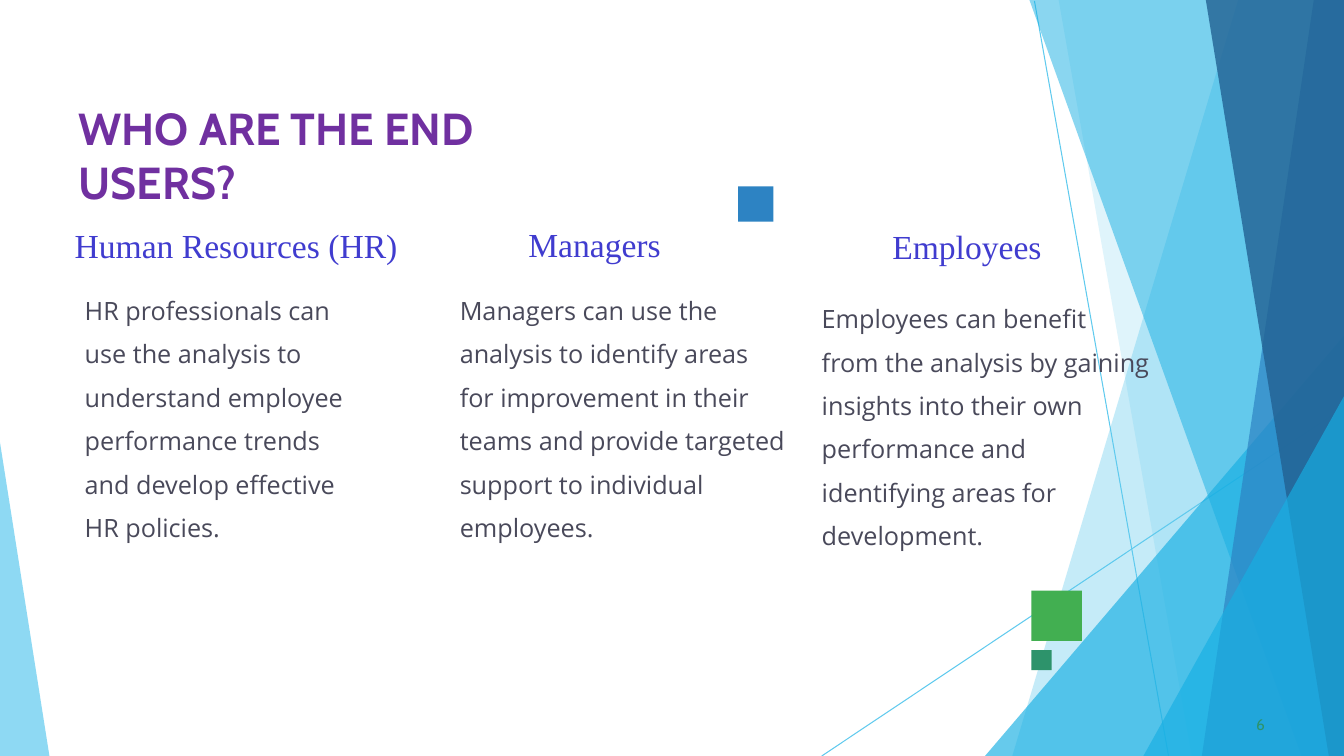
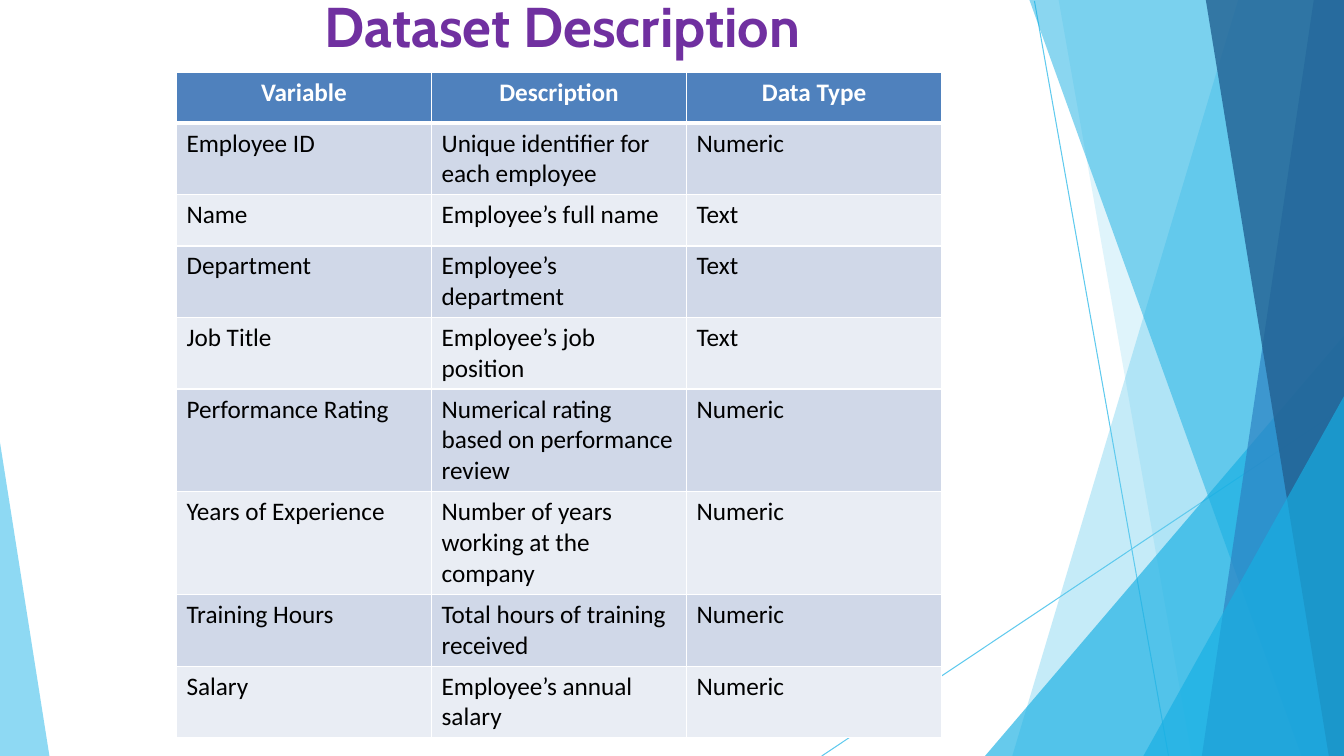
import pptx
import pptx.dml.color
import pptx.enum.shapes
import pptx.enum.text
import pptx.oxml
import pptx.oxml.ns
import pptx.util
from lxml import etree

Inches = pptx.util.Inches
Pt = pptx.util.Pt
RGBColor = pptx.dml.color.RGBColor
ALIGN = pptx.enum.text.PP_ALIGN
qn = pptx.oxml.ns.qn

# Slide size in inches
WIDTH, HEIGHT = 13.33, 7.5

# Colours
SKY = RGBColor(0x5F, 0xCA, 0xEE)
CYAN = RGBColor(0x17, 0xAF, 0xE3)
BLUE = RGBColor(0x2D, 0x83, 0xC3)
NAVY = RGBColor(0x22, 0x61, 0x92)
GREEN = RGBColor(0x42, 0xAF, 0x51)
TEAL = RGBColor(0x2D, 0x93, 0x6B)
PURPLE = RGBColor(0x70, 0x30, 0xA0)
INDIGO = RGBColor(0x40, 0x3C, 0xCF)
SLATE = RGBColor(0x49, 0x49, 0x5A)
WHITE = RGBColor(0xFF, 0xFF, 0xFF)
BLACK = RGBColor(0, 0, 0)
HEADER_FILL = RGBColor(0x4F, 0x81, 0xBD)
BAND_FILLS = (RGBColor(0xD0, 0xD8, 0xE8), RGBColor(0xE9, 0xED, 0xF4))

# Text styles
TITLE = dict(font="Cabin", color=PURPLE, bold=True)
HEADING = dict(font="Times New Roman", size=24, color=INDIGO, line_spacing=30)
BODY = dict(font="Open Sans", size=18, color=SLATE, line_spacing=31)
PAGE_NUMBER = dict(font="Cabin", size=11, color=TEAL)
HEADER_CELL = dict(font="Calibri", size=18, color=WHITE, bold=True, align=ALIGN.CENTER)
BODY_CELL = dict(font="Calibri", size=18, color=BLACK)

# Background: thin lines, then translucent facets (corners, colour, opacity in %)
LINES = [(10.26, 0.01, 11.59, HEIGHT), (WIDTH, 4.04, 8.15, HEIGHT)]
TOP_RIGHT, BOTTOM_RIGHT = (WIDTH, 0), (WIDTH, HEIGHT)
FACETS = [
    ([TOP_RIGHT, (12.28, 0), (10.04, HEIGHT), BOTTOM_RIGHT], SKY, 36),
    ([TOP_RIGHT, (10.5, 0), (11.82, HEIGHT), BOTTOM_RIGHT], SKY, 20),
    ([(WIDTH, 3.33), (9.77, HEIGHT), BOTTOM_RIGHT], CYAN, 66),
    ([TOP_RIGHT, (10.21, 0), (12.91, HEIGHT), BOTTOM_RIGHT], CYAN, 50),
    ([TOP_RIGHT, (13.03, 0), (11.92, HEIGHT), BOTTOM_RIGHT], BLUE, 70),
    ([TOP_RIGHT, (11.96, 0), (13.18, HEIGHT), BOTTOM_RIGHT], NAVY, 80),
    ([(WIDTH, 3.93), (11.34, HEIGHT), BOTTOM_RIGHT], CYAN, 66),
    ([(0, 4.39), (0, HEIGHT), (0.49, HEIGHT)], SKY, 70),
]

# End users: heading, its left and top, text, its left, top and width
END_USERS = [
    ("Human Resources (HR)", 0.74, 2.21,
     "HR professionals can use the analysis to understand employee performance "
     "trends and develop effective HR policies.", 0.84, 2.8, 2.71),
    ("Managers", 5.24, 2.2,
     "Managers can use the analysis to identify areas for improvement in their "
     "teams and provide targeted support to individual employees.", 4.56, 2.8, 3.25),
    ("Employees", 8.85, 2.22,
     "Employees can benefit from the analysis by gaining insights into their own "
     "performance and identifying areas for development.", 8.15, 2.88, 3.25),
]

# Accent squares: left, top, side, colour
SQUARES = [(10.23, 5.86, 0.5, GREEN), (7.32, 1.85, 0.35, BLUE), (10.23, 6.45, 0.2, TEAL)]

# Dataset table: row height, then the cells
DATASET = [
    (0.5, "Variable", "Description", "Data Type"),
    (0.71, "Employee ID", "Unique identifier for each employee", "Numeric"),
    (0.51, "Name", "Employee’s full name", "Text"),
    (0.71, "Department", "Employee’s department", "Text"),
    (0.71, "Job Title", "Employee’s job position", "Text"),
    (1.02, "Performance Rating", "Numerical rating based on performance review", "Numeric"),
    (1.02, "Years of Experience", "Number of years working at the company", "Numeric"),
    (0.71, "Training Hours", "Total hours of training received", "Numeric"),
    (0.71, "Salary", "Employee’s annual salary", "Numeric"),
]


def write_text(frame, text, font, size, color, bold=False, align=ALIGN.LEFT, line_spacing=None):
    """Put one formatted paragraph into a text frame."""
    para = frame.paragraphs[0]
    para.alignment = align
    if line_spacing:
        para.line_spacing = Pt(line_spacing)
    span = para.add_run()
    span.text = text
    span.font.name = font
    span.font.size = Pt(size)
    span.font.bold = bold
    span.font.color.rgb = color


def add_text(page, left, top, width, height, text, **style):
    box = page.shapes.add_textbox(Inches(left), Inches(top), Inches(width), Inches(height))
    frame = box.text_frame
    frame.word_wrap = True
    frame.margin_left = frame.margin_right = frame.margin_top = frame.margin_bottom = 0
    write_text(frame, text, **style)


def paint(shape, color, opacity=100):
    shape.shadow.inherit = False
    shape.line.fill.background()
    shape.fill.solid()
    shape.fill.fore_color.rgb = color
    if opacity < 100:
        paint_color = shape.element.spPr.find(qn("a:solidFill")).find(qn("a:srgbClr"))
        etree.SubElement(paint_color, qn("a:alpha"), val=str(opacity * 1000))


def add_facet(page, corners, color, opacity):
    points = [(Inches(x), Inches(y)) for x, y in corners]
    builder = page.shapes.build_freeform(*points[0], scale=1.0)
    builder.add_line_segments(points[1:], close=True)
    paint(builder.convert_to_shape(), color, opacity)


def add_line(page, *ends):
    line = page.shapes.add_connector(
        pptx.enum.shapes.MSO_CONNECTOR.STRAIGHT, *[Inches(end) for end in ends])
    line.line.color.rgb = SKY
    line.line.width = Pt(0.75)
    etree.SubElement(line.element.spPr, qn("a:effectLst"))


def add_square(page, left, top, side, color):
    square = page.shapes.add_shape(
        pptx.enum.shapes.MSO_SHAPE.RECTANGLE,
        Inches(left), Inches(top), Inches(side), Inches(side))
    paint(square, color)


def set_borders(cell, **widths):
    """White cell borders; widths in points for L, R, T and B."""
    properties = cell._tc.get_or_add_tcPr()
    for position, (side, width) in enumerate(widths.items()):
        border = pptx.oxml.parse_xml(
            f'<a:ln{side} {pptx.oxml.ns.nsdecls("a")} w="{Pt(width)}"><a:solidFill>'
            f'<a:srgbClr val="{WHITE}"/></a:solidFill></a:ln{side}>')
        properties.insert(position, border)


def add_dataset_table(page, left, top, column_width):
    columns = len(DATASET[0]) - 1
    total_height = sum(row[0] for row in DATASET)
    table = page.shapes.add_table(
        len(DATASET), columns, Inches(left), Inches(top),
        Inches(column_width * columns), Inches(total_height)).table
    for column in table.columns:
        column.width = Inches(column_width)
    for index, (height, *texts) in enumerate(DATASET):
        table.rows[index].height = Inches(height)
        header = index == 0
        for column, text in enumerate(texts):
            cell = table.cell(index, column)
            cell.fill.solid()
            cell.fill.fore_color.rgb = HEADER_FILL if header else BAND_FILLS[(index - 1) % 2]
            set_borders(cell, L=1, R=1, T=3 if index == 1 else 1, B=3 if header else 1)
            write_text(cell.text_frame, text, **(HEADER_CELL if header else BODY_CELL))


def add_page(deck):
    """Blank slide with the shared background."""
    page = deck.slides.add_slide(deck.slide_layouts[6])
    for ends in LINES:
        add_line(page, *ends)
    for facet in FACETS:
        add_facet(page, *facet)
    return page


def add_end_users_page(deck):
    page = add_page(deck)
    for square in SQUARES:
        add_square(page, *square)
    add_text(page, 0.78, 1, 5.2, 1.1, "WHO ARE THE END USERS?", size=32, **TITLE)
    for heading, left, top, text, text_left, text_top, text_width in END_USERS:
        add_text(page, left, top, 3.3, 0.42, heading, **HEADING)
        add_text(page, text_left, text_top, text_width, 2.6, text, **BODY)
    add_text(page, 12.46, 7.09, 0.2, 0.2, "6", **PAGE_NUMBER)


def add_dataset_page(deck):
    page = add_page(deck)
    add_text(page, 0, -0.08, 11.16, 0.67, "Dataset Description",
             size=40, align=ALIGN.CENTER, **TITLE)
    add_dataset_table(page, 1.75, 0.72, 2.53)


def main():
    deck = pptx.Presentation()
    deck.slide_width = Inches(WIDTH)
    deck.slide_height = Inches(HEIGHT)
    add_end_users_page(deck)
    add_dataset_page(deck)
    deck.save("out.pptx")


if __name__ == "__main__":
    main()
